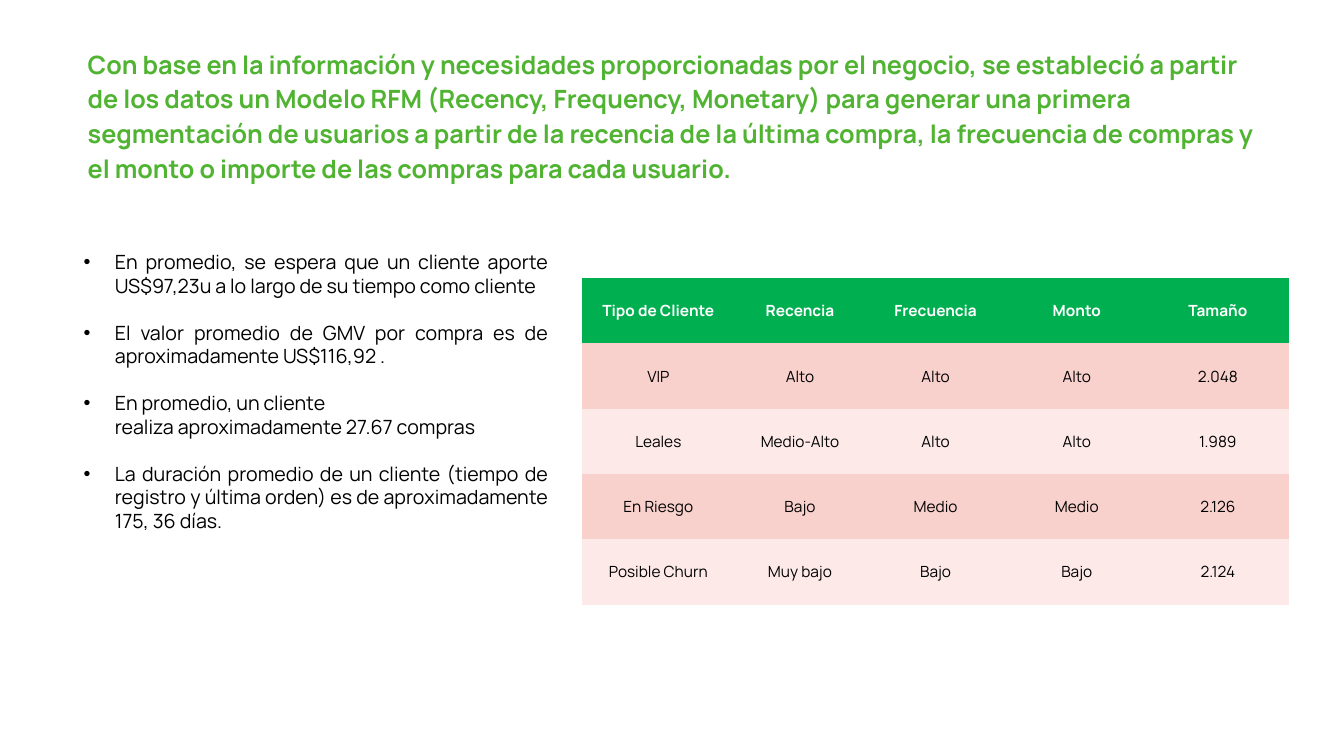
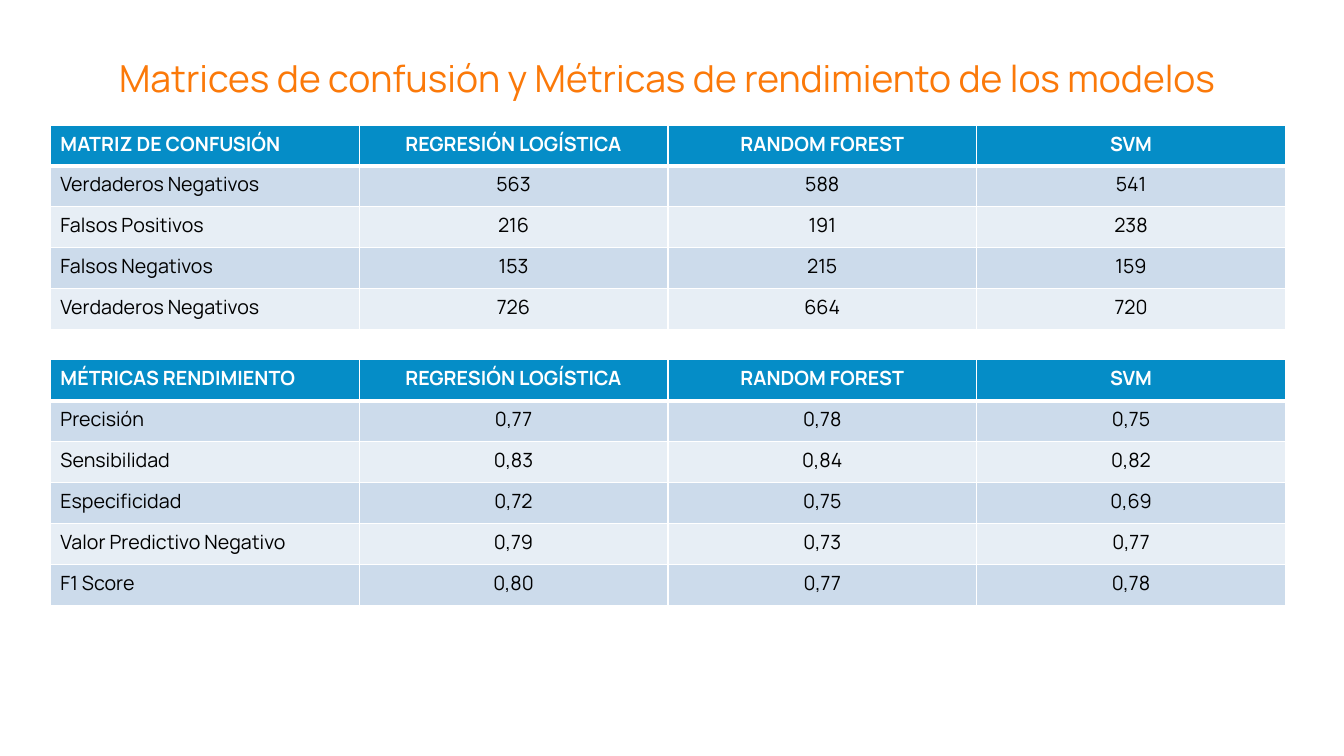
from lxml import etree
from pptx import Presentation
from pptx.dml.color import RGBColor
from pptx.enum import text
from pptx.oxml.ns import qn
from pptx.util import Inches, Pt

FONT = "Manrope"
COLORS = {
    "black": "000000", "white": "FFFFFF",
    "title_green": "50B432", "title_orange": "FB7909",
    "green": "00B050", "pink": "F8D1CD", "pale_pink": "FCE9E8",
    "blue": "058DC7", "blue_gray": "CCDBEB", "pale_blue": "E7EEF5",
}
NO_STYLE_NO_GRID = "{2D5ABB26-0587-4C30-8999-92F81FD0307C}"
LEFT, CENTER, JUSTIFY = text.PP_ALIGN.LEFT, text.PP_ALIGN.CENTER, text.PP_ALIGN.JUSTIFY


def write(frame, content, size, color="black", bold=False, align=LEFT, margin=0,
          bullet=False, before=0, spacing=1.0, first=True):
    """Write one paragraph; margin is in inches, and a newline breaks the line."""
    paragraph = frame.paragraphs[0] if first else frame.add_paragraph()
    if margin:
        properties = paragraph._p.get_or_add_pPr()
        properties.set("marL", str(Inches(margin)))
        properties.set("indent", str(-Inches(margin) if bullet else 0))
        if bullet:
            etree.SubElement(properties, qn("a:buFont")).set("typeface", "Arial")
            etree.SubElement(properties, qn("a:buChar")).set("char", "•")
    paragraph.alignment = align
    paragraph.line_spacing = spacing
    paragraph.space_before = Pt(before)
    for i, line in enumerate(content.split("\n")):
        if i:
            paragraph.add_line_break()
        run = paragraph.add_run()
        run.text = line
        run.font.name, run.font.size, run.font.bold = FONT, Pt(size), bold
        run.font.color.rgb = RGBColor.from_string(COLORS[color])


def add_data_table(slide, rows, left, top, widths, row_height, fills, size,
                   label_align=CENTER, anchor=text.MSO_ANCHOR.TOP, borders=False):
    """Add a table; fills names the header colour and the two band colours."""
    graphic = slide.shapes.add_table(len(rows), len(widths), Inches(left), Inches(top),
                                     Inches(sum(widths)), Inches(row_height * len(rows)))
    table = graphic.table
    next(graphic._element.iter(qn("a:tableStyleId"))).text = NO_STYLE_NO_GRID
    for column, width in zip(table.columns, widths):
        column.width = Inches(width)
    for r, values in enumerate(rows):
        table.rows[r].height = Inches(row_height)
        header = r == 0
        fill = fills[0] if header else fills[2 - r % 2]
        for c, value in enumerate(values):
            cell = table.cell(r, c)
            cell.vertical_anchor = anchor
            write(cell.text_frame, value, size, "white" if header else "black", header,
                  label_align if c == 0 else CENTER)
            if borders:
                properties = cell._tc.get_or_add_tcPr()
                for side in "LRTB":
                    thick = (r, side) in ((0, "B"), (1, "T"))
                    line = etree.SubElement(properties, qn(f"a:ln{side}"),
                                            w=str(Pt(3 if thick else 1)))
                    solid = etree.SubElement(line, qn("a:solidFill"))
                    etree.SubElement(solid, qn("a:srgbClr"), val=COLORS["white"])
            cell.fill.solid()
            cell.fill.fore_color.rgb = RGBColor.from_string(COLORS[fill])


presentation = Presentation()
presentation.slide_width, presentation.slide_height = Inches(13.33), Inches(7.5)
segment_slide, model_slide = [
    presentation.slides.add_slide(presentation.slide_layouts[6]) for _ in range(2)]

frames = []
for slide, place in [
    (segment_slide, (0.7, 2.35, 4.87, 3.19)),
    (segment_slide, (0.49, 0.31, 12.17, 2.08)),
    (model_slide, (0.5, 0.56, 12.25, 0.42)),
]:
    frame = slide.shapes.add_textbox(*map(Inches, place)).text_frame
    frame.word_wrap = True
    frame.margin_left = frame.margin_right = Inches(0.13)
    frame.margin_top = frame.margin_bottom = Inches(0.13)
    frames.append(frame)
findings, segment_title, model_title = frames

# Customer segments
write(segment_title,
      "Con base en la información y necesidades proporcionadas por el negocio, se estableció "
      "a partir de los datos un Modelo RFM (Recency, Frequency, Monetary) para generar una "
      "primera segmentación de usuarios a partir de la recencia de la última compra, la "
      "frecuencia de compras y el monto o importe de las compras para cada usuario.",
      18, "title_green", bold=True, margin=0.25, spacing=1.15)

for i, (finding, align) in enumerate([
    ("En promedio, se espera que un cliente aporte US$97,23u a lo largo de su tiempo "
     "como cliente", JUSTIFY),
    ("El valor promedio de GMV por compra es de aproximadamente US$116,92 .", JUSTIFY),
    ("En promedio, un cliente\nrealiza aproximadamente 27.67 compras", LEFT),
    ("La duración promedio de un cliente (tiempo de registro y última orden) es de "
     "aproximadamente 175, 36 días.", JUSTIFY),
]):
    write(findings, finding, 14, align=align, margin=0.31, bullet=True,
          before=16.8 if i else 0, first=i == 0)

segments = [
    ("Tipo de Cliente", "Recencia", "Frecuencia", "Monto", "Tamaño"),
    ("VIP", "Alto", "Alto", "Alto", "2.048"),
    ("Leales", "Medio-Alto", "Alto", "Alto", "1.989"),
    ("En Riesgo", "Bajo", "Medio", "Medio", "2.126"),
    ("Posible Churn", "Muy bajo", "Bajo", "Bajo", "2.124"),
]
add_data_table(segment_slide, segments, 5.77, 2.76, [1.52, 1.29, 1.4, 1.4, 1.4], 3.24 / 5,
               ("green", "pink", "pale_pink"), 11, anchor=text.MSO_ANCHOR.MIDDLE)

# Model comparison
model_title.vertical_anchor = text.MSO_ANCHOR.MIDDLE
write(model_title, "Matrices de confusión y Métricas de rendimiento de los modelos",
      26.6, "title_orange", align=CENTER)

models = ("REGRESIÓN LOGÍSTICA", "RANDOM FOREST", "SVM")
confusion = [
    ("MATRIZ DE CONFUSIÓN", *models),
    ("Verdaderos Negativos", "563", "588", "541"),
    ("Falsos Positivos", "216", "191", "238"),
    ("Falsos Negativos", "153", "215", "159"),
    ("Verdaderos Negativos", "726", "664", "720"),
]
metrics = [
    ("MÉTRICAS RENDIMIENTO", *models),
    ("Precisión", "0,77", "0,78", "0,75"),
    ("Sensibilidad", "0,83", "0,84", "0,82"),
    ("Especificidad", "0,72", "0,75", "0,69"),
    ("Valor Predictivo Negativo", "0,79", "0,73", "0,77"),
    ("F1 Score", "0,80", "0,77", "0,78"),
]
for rows, top in [(confusion, 1.24), (metrics, 3.57)]:
    add_data_table(model_slide, rows, 0.5, top, [12.25 / 4] * 4, 2.03 / 5,
                   ("blue", "blue_gray", "pale_blue"), 14, label_align=LEFT, borders=True)

presentation.save("out.pptx")
